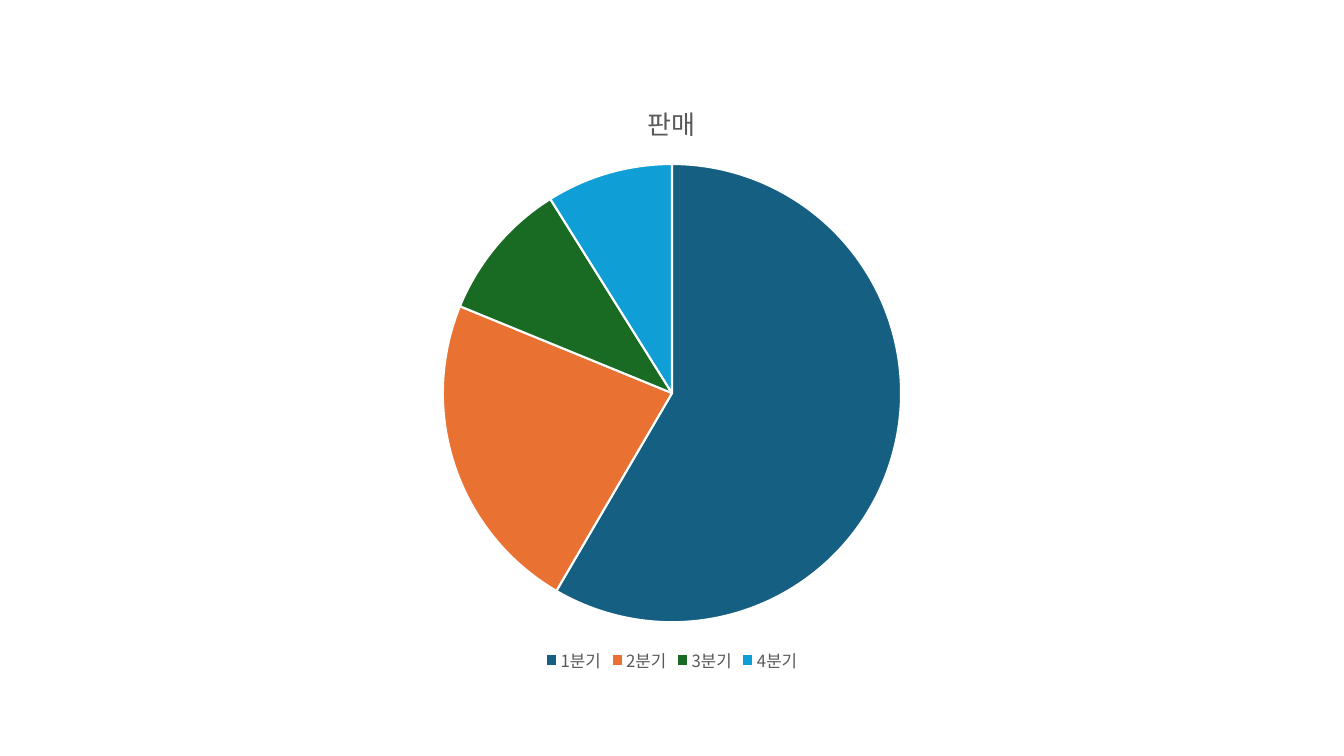
"""Build a slide with a pie chart of quarterly sales."""
from lxml.etree import Element
from pptx import Presentation
from pptx.chart.data import CategoryChartData
from pptx.dml.color import RGBColor
from pptx.enum.chart import XL_CHART_TYPE, XL_LEGEND_POSITION
from pptx.oxml.ns import qn
from pptx.util import Pt

FONT = "Noto Sans CJK KR"
TITLE = "판매"
QUARTERS = [
    ("1분기", 59, "156082"),
    ("2분기", 23, "E97132"),
    ("3분기", 10, "196B24"),
    ("4분기", 9, "0F9ED5"),
]
SLIDE_WIDTH, SLIDE_HEIGHT = 960, 540
CHART_WIDTH, CHART_HEIGHT = 640, 426.67
BASE_FORMAT = {"name": FONT, "size": Pt(10)}
TITLE_FORMAT = {"name": FONT, "size": Pt(18.6), "bold": False}
LEGEND_FORMAT = {"name": FONT, "size": Pt(12), "bold": False}


def color(value):
    return RGBColor.from_string(value)


def format_font(font, values, font_color):
    for name, value in values.items():
        setattr(font, name, value)
    font.color.rgb = color(font_color)


def add_sales_chart(slide):
    data = CategoryChartData()
    data.categories = [name for name, _, _ in QUARTERS]
    data.add_series(TITLE, [value for _, value, _ in QUARTERS])
    left = (SLIDE_WIDTH - CHART_WIDTH) / 2
    top = (SLIDE_HEIGHT - CHART_HEIGHT) / 2
    frame = slide.shapes.add_chart(
        XL_CHART_TYPE.PIE, Pt(left), Pt(top), Pt(CHART_WIDTH), Pt(CHART_HEIGHT), data
    )
    chart = frame.chart
    format_font(chart.font, BASE_FORMAT, "000000")

    chart.has_title = True
    paragraph = chart.chart_title.text_frame.paragraphs[0]
    run = paragraph.add_run()
    run.text = TITLE
    format_font(run.font, TITLE_FORMAT, "595959")
    chart.chart_title.include_in_layout = False

    chart.has_legend = True
    chart.legend.position = XL_LEGEND_POSITION.BOTTOM
    chart.legend.include_in_layout = False
    format_font(chart.legend.font, LEGEND_FORMAT, "595959")

    chart.plots[0].vary_by_categories = True
    series = chart.plots[0].series[0]
    for index, (_, _, fill_color) in enumerate(QUARTERS):
        slice_format = series.points[index].format
        slice_format.fill.solid()
        slice_format.fill.fore_color.rgb = color(fill_color)
        slice_format.line.color.rgb = color("FFFFFF")
        slice_format.line.width = Pt(1.5)

    for latin in list(chart.element.iter(qn("a:latin"))):
        latin.addnext(Element(qn("a:ea"), typeface=FONT))


def main():
    presentation = Presentation()
    presentation.slide_width = Pt(SLIDE_WIDTH)
    presentation.slide_height = Pt(SLIDE_HEIGHT)
    slide = presentation.slides.add_slide(presentation.slide_layouts[6])
    add_sales_chart(slide)
    presentation.save("out.pptx")


if __name__ == "__main__":
    main()
